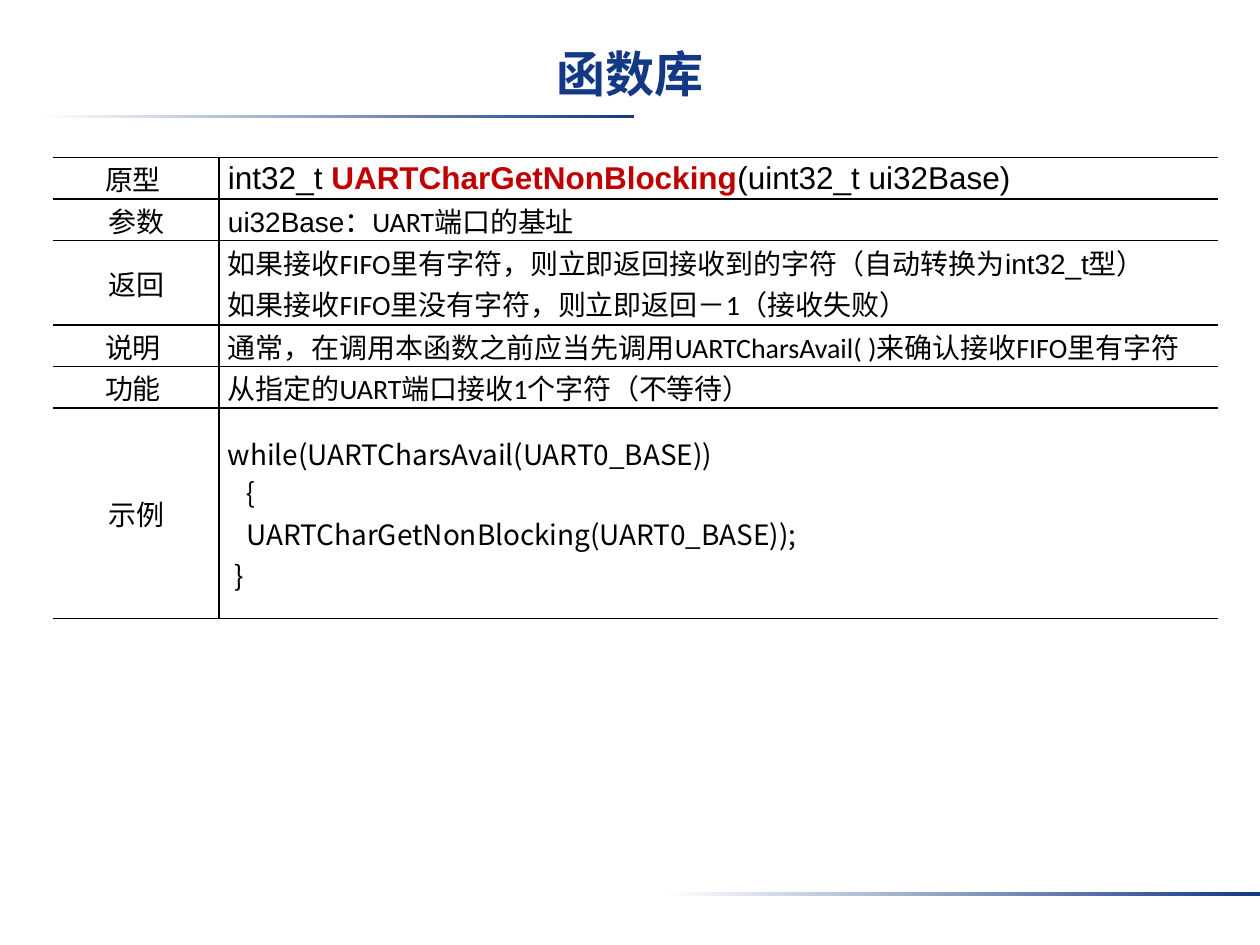
from lxml import etree
from pptx import Presentation
from pptx.dml.color import RGBColor
from pptx.enum.shapes import MSO_SHAPE
from pptx.enum.text import MSO_ANCHOR, PP_ALIGN
from pptx.oxml.ns import qn
from pptx.util import Inches, Pt

RECTANGLE = MSO_SHAPE.RECTANGLE
MIDDLE = MSO_ANCHOR.MIDDLE
LEFT, CENTER, JUSTIFY = PP_ALIGN.LEFT, PP_ALIGN.CENTER, PP_ALIGN.JUSTIFY

NAVY, RED, BLACK, WHITE = "133984", "C00000", "000000", "FFFFFF"
SANS, BODY, CJK = "Arial", "Calibri", "Noto Sans CJK SC"


def color(value):
    return RGBColor.from_string(value)


class SlideBuilder:
    """Holds the text style and the current page."""

    text_size = 16
    border_width = 1

    def __init__(self, page):
        self.page = page

    def style(self, span, font=BODY, size=text_size, ink=BLACK, bold=False):
        span.font.name = font
        span.font.size = Pt(size)
        span.font.bold = bold
        span.font.color.rgb = color(ink)
        east_asian = etree.Element(qn("a:ea"), typeface=CJK)
        span.font._element.find(qn("a:latin")).addnext(east_asian)

    def add_spans(self, para, spans, align):
        """Fill a paragraph from (text, style) pairs."""
        para.alignment = align
        for text, look in spans:
            span = para.add_run()
            span.text = text
            self.style(span, **look)

    def title(self, text):
        box = self.page.shapes.add_textbox(0, Inches(0.2), Inches(10), Inches(0.75))
        frame = box.text_frame
        frame.word_wrap = True
        frame.vertical_anchor = MIDDLE
        look = {"font": SANS, "size": 28, "ink": NAVY, "bold": True}
        self.add_spans(frame.paragraphs[0], [(text, look)], CENTER)

    def fading_bar(self, left, top):
        bar = self.page.shapes.add_shape(
            RECTANGLE, Inches(left), Inches(top), Inches(4.72), Inches(0.03))
        bar.shadow.inherit = False
        bar.line.fill.background()
        bar.fill.gradient()
        bar.fill.gradient_angle = 0
        for stop, ink in zip(bar.fill.gradient_stops, (WHITE, NAVY)):
            stop.color.rgb = color(ink)

    def borders(self, cell, visible):
        """Draw the visible sides of a cell and hide the others."""
        properties = cell._tc.get_or_add_tcPr()
        for index, side in enumerate("LRTB"):
            line = etree.Element(qn(f"a:ln{side}"), w=str(Pt(self.border_width)))
            if side in visible:
                fill = etree.SubElement(line, qn("a:solidFill"))
                etree.SubElement(fill, qn("a:srgbClr"), val=BLACK)
            else:
                etree.SubElement(line, qn("a:noFill"))
            properties.insert(index, line)

    def cell(self, cell, paragraphs, align, visible):
        cell.fill.background()
        cell.vertical_anchor = MIDDLE
        cell.margin_left = cell.margin_right = Inches(0.07)
        cell.margin_top = cell.margin_bottom = 0
        frame = cell.text_frame
        for index, (indent, spans) in enumerate(paragraphs):
            para = frame.add_paragraph() if index else frame.paragraphs[0]
            self.add_spans(para, spans, align)
            if indent:
                para._p.get_or_add_pPr().set("marL", str(Inches(indent)))
        self.borders(cell, visible)

    def table(self, left, top, widths, rows):
        heights = [row[0] for row in rows]
        table = self.page.shapes.add_table(
            len(rows), len(widths), Inches(left), Inches(top),
            Inches(sum(widths)), Inches(sum(heights))).table
        table.first_row = table.horz_banding = False
        for column, width in zip(table.columns, widths):
            column.width = Inches(width)
        for index, (height, label, align, paragraphs) in enumerate(rows):
            table.rows[index].height = Inches(height)
            self.cell(table.cell(index, 0), [(0, [(label, {})])], CENTER, "RTB")
            self.cell(table.cell(index, 1), paragraphs, align, "LTB")


# Each row: height, label, alignment, paragraphs of (indent, spans)
ARIAL, CODE = {"font": SANS}, {"font": CJK}
SIGNATURE = {"font": SANS, "size": 18}
ROWS = [
    (0.33, "原型 ", LEFT, [
        (0, [("int32_t ", SIGNATURE),
             ("UARTCharGetNonBlocking", {**SIGNATURE, "ink": RED, "bold": True}),
             ("(uint32_t ui32Base) ", SIGNATURE)])]),
    (0.33, "参数", JUSTIFY, [
        (0, [("ui32Base", ARIAL), ("：UART端口的基址", {})])]),
    (0.67, "返回", JUSTIFY, [
        (0, [("如果接收FIFO里有字符，则立即返回接收到的字符（自动转换为", {}),
             ("int32_t", ARIAL), ("型） ", {})]),
        (0, [("如果接收FIFO里没有字符，则立即返回－1（接收失败） ", {})])]),
    (0.33, "说明 ", JUSTIFY, [
        (0, [("通常，在调用本函数之前应当先调用UARTCharsAvail( )来确认接收FIFO里有字符", {})])]),
    (0.33, "功能 ", JUSTIFY, [
        (0, [("从指定的UART端口接收1个字符（不等待） ", {})])]),
    (1.67, "示例", JUSTIFY, [
        (0, [("while(UARTCharsAvail(UART0_BASE))", CODE)]),
        (0, [("｛", {})]),
        (0.15, [("UARTCharGetNonBlocking(UART0_BASE));", CODE)]),
        (0.05, [("}", CODE)])]),
]


def main():
    deck = Presentation()
    deck.slide_width, deck.slide_height = Inches(10), Inches(7.5)
    builder = SlideBuilder(deck.slides.add_slide(deck.slide_layouts[6]))

    # Decorative bars
    builder.fading_bar(0.31, 0.91)
    builder.fading_bar(5.28, 7.08)

    # Title and function reference
    builder.title("函数库")
    builder.table(0.42, 1.25, (1.32, 7.93), ROWS)

    deck.save("out.pptx")


if __name__ == "__main__":
    main()
